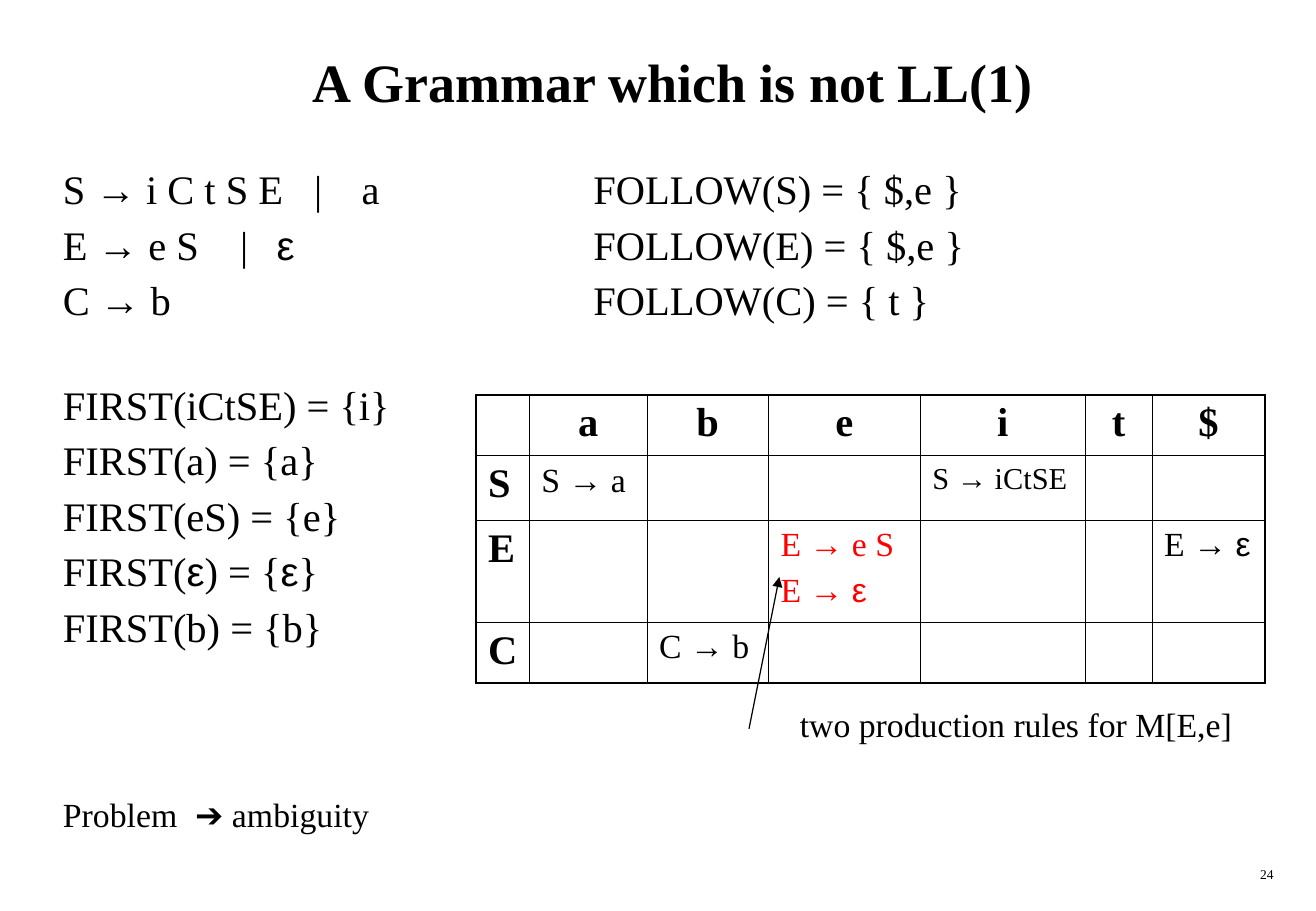
from dataclasses import dataclass
from itertools import groupby

from lxml.etree import SubElement
from pptx import Presentation
from pptx.dml.color import RGBColor
from pptx.enum.shapes import MSO_CONNECTOR
from pptx.enum.text import MSO_ANCHOR, PP_ALIGN
from pptx.oxml.ns import qn
from pptx.util import Inches, Pt

# Content: a line is a text, or a text with its tab stops in inches
TITLE = "A Grammar which is not LL(1)"
GRAMMAR = [
    ("S → i C t S E\t|\ta", (2.07, 2.46)),
    ("E → e S\t|\tε", (1.46, 1.76)),
    "C → b",
]
FOLLOW_SETS = ["FOLLOW(S) = { $,e }", "FOLLOW(E) = { $,e }", "FOLLOW(C) = { t }"]
FIRST_SETS = [
    "FIRST(iCtSE) = {i}",
    "FIRST(a) = {a}",
    "FIRST(eS) = {e}",
    "FIRST(ε) = {ε}",
    "FIRST(b) = {b}",
]
CONFLICT_NOTE = ["two production rules for M[E,e]"]
CONCLUSION = [("Problem\t➔ ambiguity", (1.09,))]
PAGE_NUMBER = ["24"]
TERMINALS = ["a", "b", "e", "i", "t", "$"]
NONTERMINALS = ["S", "E", "C"]
PARSING_TABLE = {
    ("S", "a"): ["S → a"],
    ("S", "i"): ["S → iCtSE"],
    ("E", "e"): ["E → e S", "E → ε"],
    ("E", "$"): ["E → ε"],
    ("C", "b"): ["C → b"],
}
CONFLICT = ("E", "e")
LONG_RULE = ("S", "i")


@dataclass(frozen=True)
class Theme:
    text: RGBColor = RGBColor(0, 0, 0)
    alert: RGBColor = RGBColor(0xFF, 0, 0)
    font: str = "Times New Roman"
    symbol_font: str = "Arial"
    symbols: str = "→ε➔"
    title: float = 32
    body: float = 24
    detail: float = 20
    compact: float = 18
    footer: float = 8
    outer_line: float = 1.08
    inner_line: float = 0.45
    arrow_line: float = 0.75


THEME = Theme()

# Layout in inches
WIDTH, HEIGHT = 10.84, 7.5
MARGIN = 0.42
CONTENT_WIDTH = 10.25
FOLLOW_LEFT, NOTE_LEFT = 4.79, 6.49
LINE_PITCH = 0.443
GRAMMAR_TOP = 1.35
FIRST_TOP = GRAMMAR_TOP + (len(GRAMMAR) + 1) * LINE_PITCH
NOTE_TOP, CONCLUSION_TOP = 5.78, 6.52
TABLE_LEFT, TABLE_TOP = 3.92, 3.25
COLUMNS = [0.44, 0.97, 1, 1.25, 1.36, 0.55, 0.93]
ROWS = [0.5, 0.53, 0.84, 0.5]
ARROW_START, ARROW_END = (6.17, 6), (6.42, 4.75)


def write(frame, lines, size=THEME.body, color=THEME.text, bold=False,
          align=PP_ALIGN.LEFT, spacing=1.0, before=0):
    """Fill a text frame, setting symbols in their own font."""
    frame.word_wrap = True
    for number, line in enumerate(lines):
        text, stops = (line, ()) if isinstance(line, str) else line
        paragraph = frame.add_paragraph() if number else frame.paragraphs[0]
        paragraph.alignment = align
        paragraph.line_spacing = spacing
        paragraph.space_before = Pt(before if number else 0)
        if stops:
            tabs = SubElement(paragraph._p.get_or_add_pPr(), qn("a:tabLst"))
            for stop in stops:
                SubElement(tabs, qn("a:tab"), pos=str(Inches(stop)), algn="l")
        for is_symbol, letters in groupby(text, lambda letter: letter in THEME.symbols):
            run = paragraph.add_run()
            run.text = "".join(letters)
            run.font.name = THEME.symbol_font if is_symbol else THEME.font
            run.font.size = Pt(size)
            run.font.bold = bold
            run.font.color.rgb = color


def add_text(slide, lines, left, top, width, height, **style):
    box = slide.shapes.add_textbox(*map(Inches, (left, top, width, height)))
    write(box.text_frame, lines, **style)


def draw_borders(cell, row, column):
    """Rule every side, heavier along the outside of the table."""
    outside = {
        "lnL": column == 0,
        "lnR": column == len(COLUMNS) - 1,
        "lnT": row == 0,
        "lnB": row == len(ROWS) - 1,
    }
    properties = cell._tc.get_or_add_tcPr()
    for side, is_outer in outside.items():
        weight = THEME.outer_line if is_outer else THEME.inner_line
        border = SubElement(properties, qn(f"a:{side}"), w=str(Pt(weight)))
        fill = SubElement(border, qn("a:solidFill"))
        SubElement(fill, qn("a:srgbClr"), val=str(THEME.text))


def write_cell(cell, row, column):
    if row == 0 and column == 0:
        return
    if row == 0:
        write(cell.text_frame, [TERMINALS[column - 1]], bold=True, align=PP_ALIGN.CENTER)
    elif column == 0:
        write(cell.text_frame, [NONTERMINALS[row - 1]], bold=True)
    else:
        entry = NONTERMINALS[row - 1], TERMINALS[column - 1]
        if entry in PARSING_TABLE:
            write(cell.text_frame, PARSING_TABLE[entry], before=5,
                  size=THEME.compact if entry == LONG_RULE else THEME.detail,
                  color=THEME.alert if entry == CONFLICT else THEME.text)


def add_parsing_table(slide):
    area = TABLE_LEFT, TABLE_TOP, sum(COLUMNS), sum(ROWS)
    table = slide.shapes.add_table(len(ROWS), len(COLUMNS), *map(Inches, area)).table
    table.first_row = table.horz_banding = False
    for column, width in enumerate(COLUMNS):
        table.columns[column].width = Inches(width)
    for row, height in enumerate(ROWS):
        table.rows[row].height = Inches(height)
        for column in range(len(COLUMNS)):
            cell = table.cell(row, column)
            draw_borders(cell, row, column)
            cell.fill.background()
            write_cell(cell, row, column)


def add_arrow(slide, start, end):
    arrow = slide.shapes.add_connector(MSO_CONNECTOR.STRAIGHT, *map(Inches, start + end))
    arrow.line.color.rgb = THEME.text
    arrow.line.width = Pt(THEME.arrow_line)
    SubElement(arrow.line._get_or_add_ln(), qn("a:tailEnd"), type="triangle")
    SubElement(arrow._element.spPr, qn("a:effectLst"))


def main():
    deck = Presentation()
    deck.slide_width, deck.slide_height = Inches(WIDTH), Inches(HEIGHT)
    slide = deck.slides.add_slide(deck.slide_layouts[5])

    title = slide.shapes.title
    title.left, title.top = Inches(MARGIN), Inches(0.17)
    title.width, title.height = Inches(CONTENT_WIDTH), Inches(1)
    title.text_frame.vertical_anchor = MSO_ANCHOR.MIDDLE
    write(title.text_frame, [TITLE], size=THEME.title, bold=True, align=PP_ALIGN.CENTER)

    listing = {"spacing": 0.9, "before": 7}
    add_text(slide, GRAMMAR, MARGIN, GRAMMAR_TOP, 4, 1.4, **listing)
    add_text(slide, FOLLOW_SETS, FOLLOW_LEFT, GRAMMAR_TOP, 4, 1.4, **listing)
    add_text(slide, FIRST_SETS, MARGIN, FIRST_TOP, 3.4, 2.3, **listing)
    add_parsing_table(slide)
    add_text(slide, CONFLICT_NOTE, NOTE_LEFT, NOTE_TOP, 4.1, 0.4,
             size=THEME.detail, spacing=0.9)
    add_text(slide, CONCLUSION, MARGIN, CONCLUSION_TOP, 4, 0.4,
             size=THEME.detail, spacing=0.9)
    add_arrow(slide, ARROW_START, ARROW_END)
    add_text(slide, PAGE_NUMBER, 8.33, 7.08, 2.26, 0.25,
             size=THEME.footer, align=PP_ALIGN.RIGHT)
    deck.save("out.pptx")


if __name__ == "__main__":
    main()
